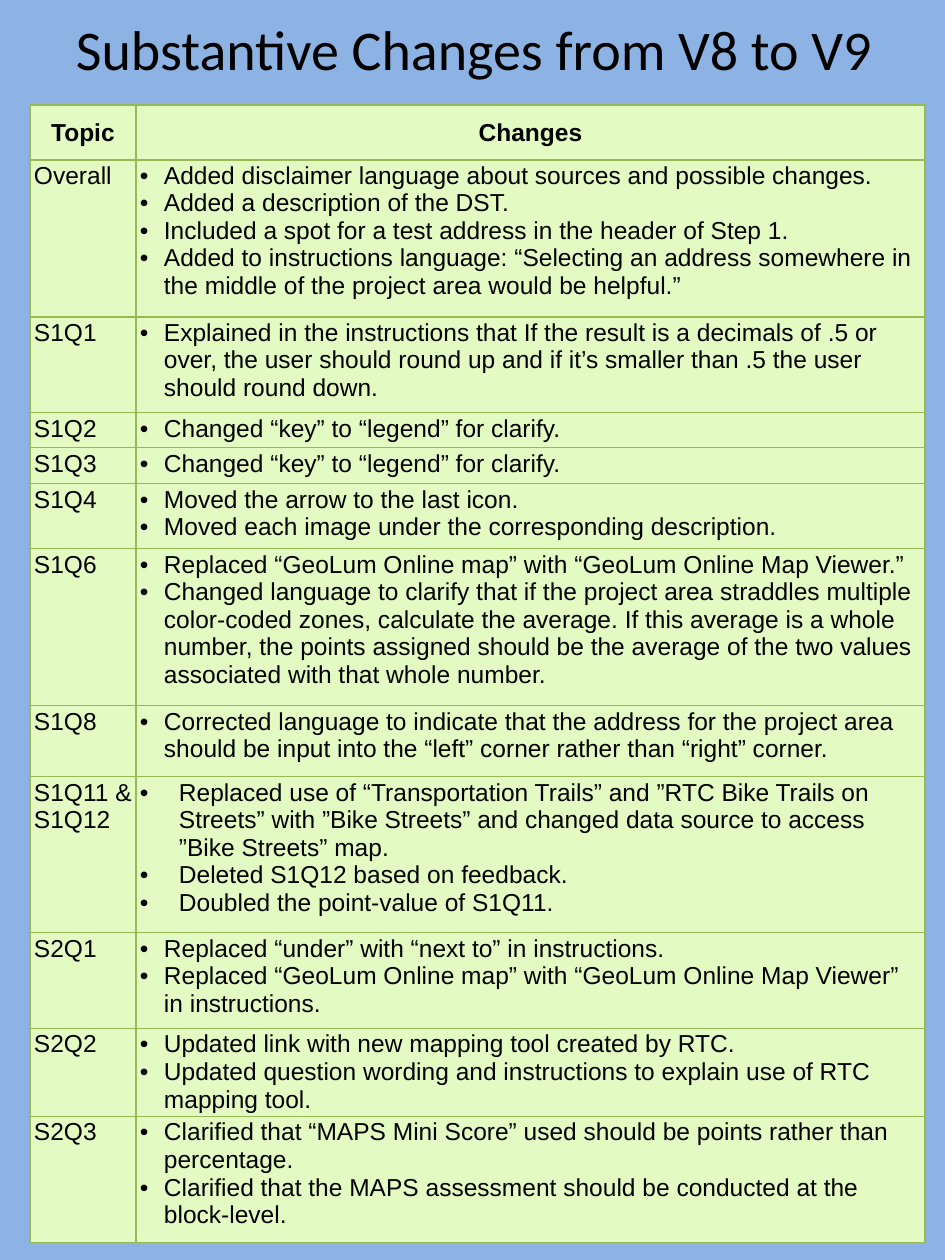
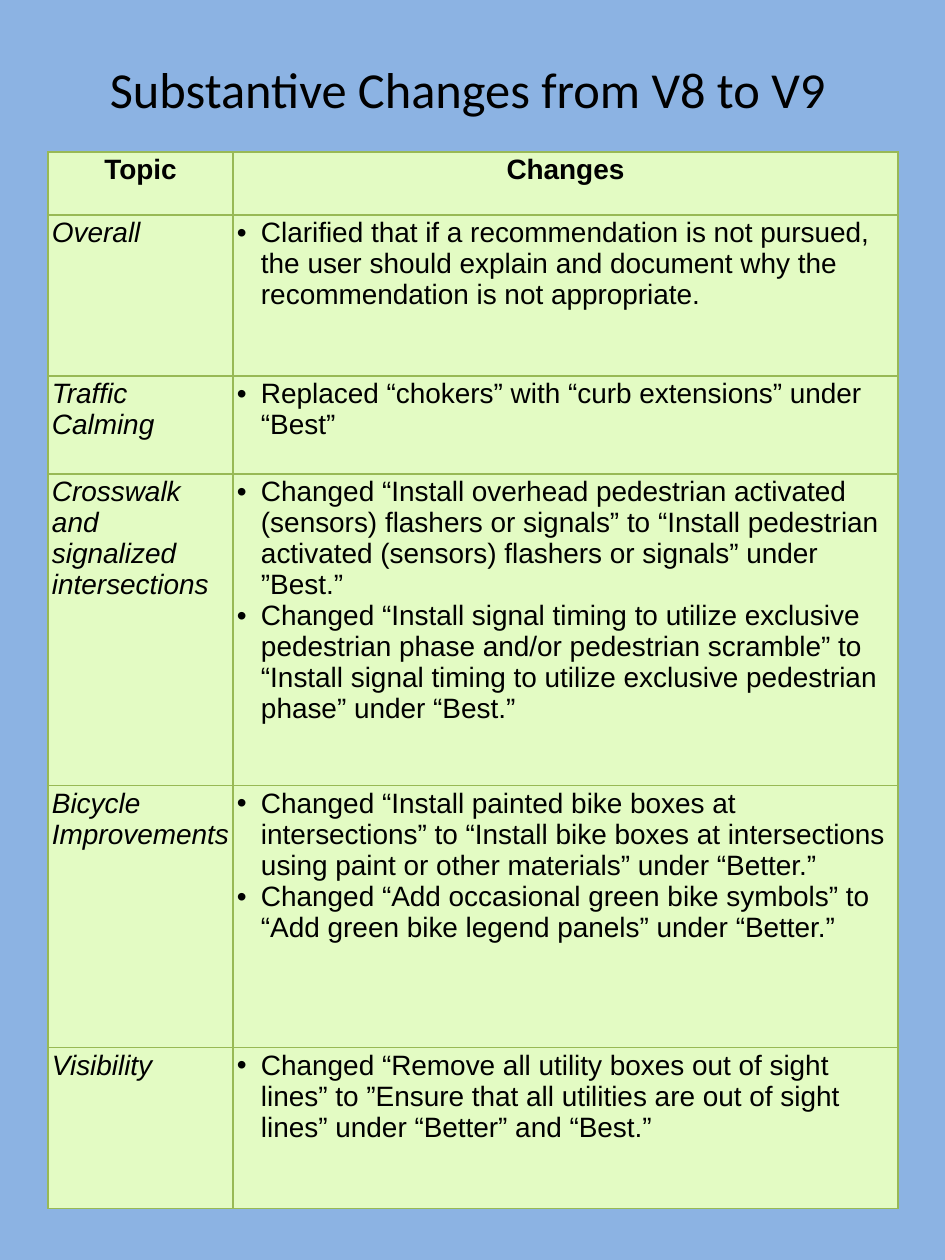
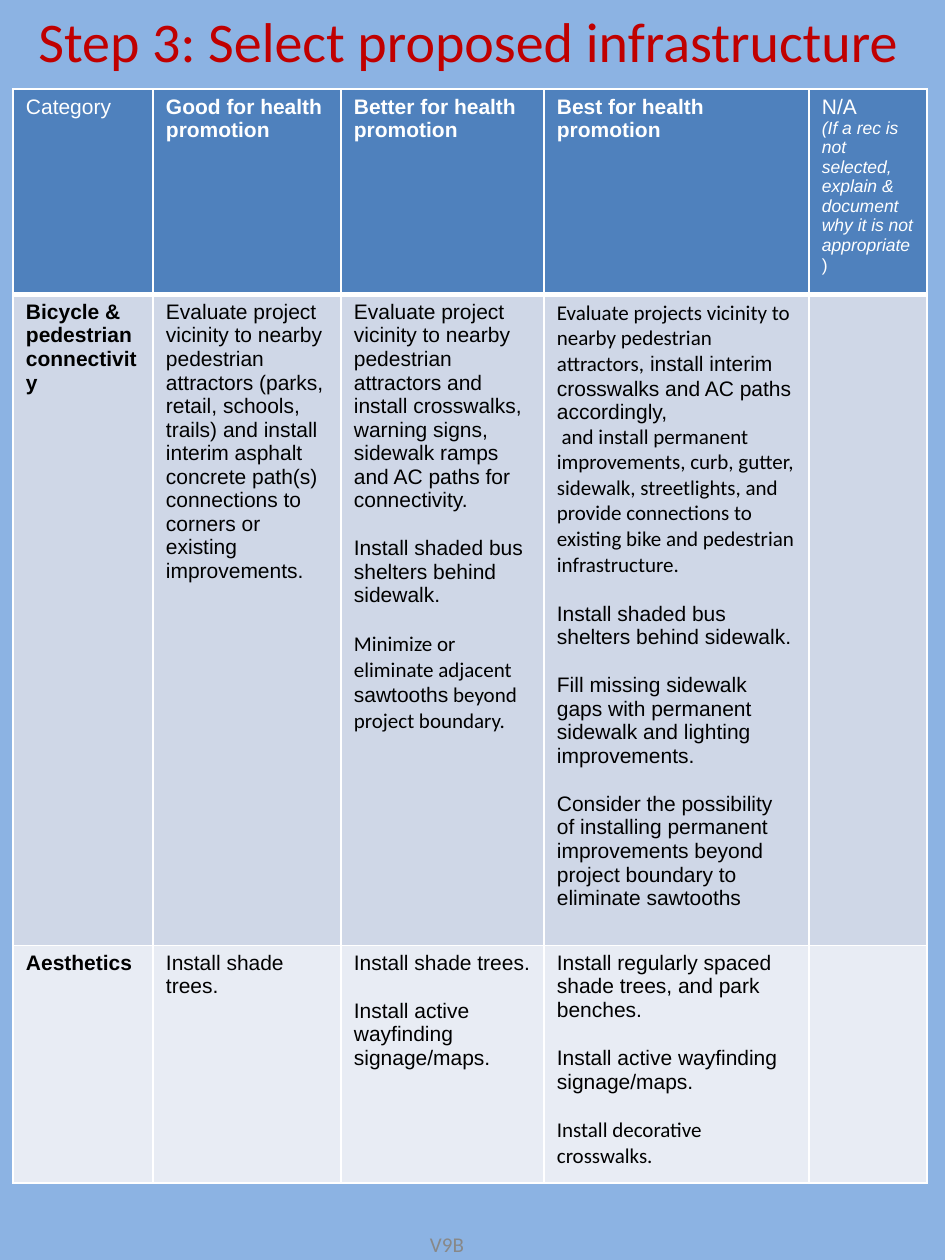
from lxml import etree
from pptx import Presentation
from pptx.dml.color import RGBColor
from pptx.enum.text import MSO_ANCHOR, PP_ALIGN
from pptx.oxml.ns import qn
from pptx.util import Emu, Pt

LEFT, CENTER = PP_ALIGN.LEFT, PP_ALIGN.CENTER
TOP, MIDDLE = MSO_ANCHOR.TOP, MSO_ANCHOR.MIDDLE
PX = 914400 / 126
COLORS = {
    "sky": "8CB3E3", "lime": "E3FBC3", "moss": "98B955", "black": "000000",
    "white": "FFFFFF", "header": "4F81BD", "band": "CFD7E7", "pale": "E8ECF4",
    "red": "C00000", "gray": "888888",
}
CALIBRI = {"name": "Calibri"}


def write(frame, paragraphs, color="black", align=LEFT, indent=0, gap=0, **font):
    frame.word_wrap = True
    for number, runs in enumerate(paragraphs):
        paragraph = frame.add_paragraph() if number else frame.paragraphs[0]
        paragraph.alignment = align
        if number and gap:
            paragraph.space_before = Pt(gap)
        if indent:
            properties = paragraph._p.get_or_add_pPr()
            properties.set("marL", str(round(indent * PX)))
            properties.set("indent", str(round(-indent * PX)))
            etree.SubElement(properties, qn("a:buFont")).set("typeface", "Arial")
            etree.SubElement(properties, qn("a:buChar")).set("char", "•")
        for text, changes in [(runs, {})] if isinstance(runs, str) else runs:
            run = paragraph.add_run()
            run.text = text
            run.font.color.rgb = RGBColor.from_string(COLORS[color])
            for key, value in {**font, **changes}.items():
                setattr(run.font, key, value)


def add_grid(slide, left, top, widths, heights, fills, line, weights, margins):
    box = [Emu(round(n * PX)) for n in (left, top, sum(widths), sum(heights))]
    grid = slide.shapes.add_table(len(heights), len(widths), *box).table
    grid.first_row = grid.horz_banding = False
    for column, width in zip(grid.columns, widths):
        column.width = Emu(round(width * PX))
    for number, (row, height) in enumerate(zip(grid.rows, heights)):
        row.height = Emu(round(height * PX))
        for cell in row.cells:
            properties = cell._tc.get_or_add_tcPr()
            for side in ("L", "R", "T", "B"):
                heavy = (number, side) in ((0, "B"), (1, "T"))
                edge = etree.SubElement(properties, qn("a:ln" + side))
                edge.set("w", str(Pt(weights[heavy])))
                ink = etree.SubElement(edge, qn("a:solidFill"))
                etree.SubElement(ink, qn("a:srgbClr")).set("val", COLORS[line])
            cell.fill.solid()
            cell.fill.fore_color.rgb = RGBColor.from_string(COLORS[fills[number]])
            cell.margin_left = cell.margin_right = Emu(round(margins[0] * PX))
            cell.margin_top = cell.margin_bottom = Emu(round(margins[1] * PX))
    return grid


step_one_changes = [
    ("Overall", [
        "Added disclaimer language about sources and possible changes.",
        "Added a description of the DST.",
        "Included a spot for a test address in the header of Step 1.",
        "Added to instructions language: “Selecting an address somewhere in the middle of the project area would be helpful.”"]),
    ("S1Q1", [
        "Explained in the instructions that If the result is a decimals of .5 or over, the user should round up and if it’s smaller than .5 the user should round down."]),
    ("S1Q2", ["Changed “key” to “legend” for clarify."]),
    ("S1Q3", ["Changed “key” to “legend” for clarify."]),
    ("S1Q4", [
        "Moved the arrow to the last icon.",
        "Moved each image under the corresponding description."]),
    ("S1Q6", [
        "Replaced “GeoLum Online map” with “GeoLum Online Map Viewer.”",
        "Changed language to clarify that if the project area straddles multiple color-coded zones, calculate the average. If this average is a whole number, the points assigned should be the average of the two values associated with that whole number."]),
    ("S1Q8", [
        "Corrected language to indicate that the address for the project area should be input into the “left” corner rather than “right” corner."]),
    ("S1Q11 & S1Q12", [
        "Replaced use of “Transportation Trails” and ”RTC Bike Trails on Streets” with ”Bike Streets” and changed data source to access ”Bike Streets” map.",
        "Deleted S1Q12 based on feedback.",
        "Doubled the point-value of S1Q11."]),
    ("S2Q1", [
        "Replaced “under” with “next to” in instructions.",
        "Replaced “GeoLum Online map” with “GeoLum Online Map Viewer” in instructions."]),
    ("S2Q2", [
        "Updated link with new mapping tool created by RTC.",
        "Updated question wording and instructions to explain use of RTC mapping tool."]),
    ("S2Q3", [
        "Clarified that “MAPS Mini Score” used should be points rather than percentage.",
        "Clarified that the MAPS assessment should be conducted at the block-level."]),
]
recommendation_changes = [
    ("Overall", [
        "Clarified that if a recommendation is not pursued, the user should explain and document why the recommendation is not appropriate."]),
    ("Traffic Calming", ["Replaced “chokers” with “curb extensions” under “Best”"]),
    ("Crosswalk and signalized intersections", [
        "Changed “Install overhead pedestrian activated (sensors) flashers or signals” to “Install pedestrian activated (sensors) flashers or signals” under ”Best.”",
        "Changed “Install signal timing to utilize exclusive pedestrian phase and/or pedestrian scramble” to “Install signal timing to utilize exclusive pedestrian phase” under “Best.”"]),
    ("Bicycle Improvements", [
        "Changed “Install painted bike boxes at intersections” to “Install bike boxes at intersections using paint or other materials” under “Better.”",
        "Changed “Add occasional green bike symbols” to “Add green bike legend panels” under “Better.”"]),
    ("Visibility", [
        "Changed “Remove all utility boxes out of sight lines” to ”Ensure that all utilities are out of sight lines” under “Better” and “Best.”"]),
]
change_logs = [
    (step_one_changes, 30, 105, [106, 789],
     [55, 157, 96, 35, 36, 65, 157, 71, 156, 96, 88, 126], 14, False, MIDDLE),
    (recommendation_changes, 48, 152, [185, 665],
     [63, 161, 98, 312, 262, 161], 16, True, TOP),
]

prs = Presentation()
prs.slide_width, prs.slide_height = Emu(round(945 * PX)), Emu(round(1260 * PX))
slides = []
for _ in range(3):
    slide = prs.slides.add_slide(prs.slide_layouts[6])
    slide.background.fill.solid()
    slide.background.fill.fore_color.rgb = RGBColor.from_string(COLORS["sky"])
    slides.append(slide)

for slide, (log, left, top, widths, heights, size, italic, anchor) in zip(slides, change_logs):
    changes = add_grid(slide, left, top, widths, heights, ["lime"] * len(heights),
                       "moss", (0.75, 0.75), (4, 2))
    font = {"name": "Arial", "size": Pt(size)}
    for column, heading in enumerate(("Topic", "Changes")):
        cell = changes.cell(0, column)
        cell.vertical_anchor = anchor
        write(cell.text_frame, [heading], align=CENTER, bold=True, **font)
    for row, (topic, items) in enumerate(log, 1):
        write(changes.cell(row, 0).text_frame, [topic], italic=italic, **font)
        indent = 39 if topic == "S1Q11 & S1Q12" else 24
        write(changes.cell(row, 1).text_frame, items, indent=indent, **font)

small = {"size": Pt(10)}
headings = [
    (["Category"], False),
    (["Good for health promotion"], True),
    (["Better for health promotion"], True),
    (["Best for health promotion"], True),
    (["N/A", [("(If a rec is not selected, explain & document why it is not appropriate",
               {**small, "italic": True}), (")", small)]], False),
]
categories = [
    [["Bicycle & pedestrian connectivity"],
     ["Evaluate project vicinity to nearby pedestrian attractors (parks, retail, schools, trails) and install interim asphalt concrete path(s) connections to corners or existing improvements."],
     ["Evaluate project vicinity to nearby pedestrian attractors and install crosswalks, warning signs, sidewalk ramps and AC paths for connectivity.",
      "Install shaded bus shelters behind sidewalk.",
      [("Minimize or eliminate adjacent ", CALIBRI), ("sawtooths", {}),
       (" beyond project boundary.", CALIBRI)]],
     [[("Evaluate projects vicinity to nearby pedestrian attractors,", CALIBRI),
       (" install interim crosswalks and AC paths accordingly,", {})],
      [(" and install permanent improvements, curb, gutter, sidewalk, streetlights, and provide connections to existing bike and pedestrian infrastructure.", CALIBRI)],
      "Install shaded bus shelters behind sidewalk.",
      "Fill missing sidewalk gaps with permanent sidewalk and lighting improvements.",
      "Consider the possibility of installing permanent improvements beyond project boundary to eliminate sawtooths"]],
    [["Aesthetics"],
     ["Install shade trees."],
     ["Install shade trees.", "Install active wayfinding signage/maps."],
     ["Install regularly spaced shade trees, and park benches.",
      "Install active wayfinding signage/maps.",
      [("Install decorative crosswalks.", CALIBRI)]]],
]
infrastructure = add_grid(slides[2], 13, 89, [140, 188, 203, 265, 118], [192, 651, 229],
                          ["header", "band", "pale"], "white", (1, 3), (13, 6))
font = {"name": "Arial", "size": Pt(12)}
for column, (heading, bold) in enumerate(headings):
    write(infrastructure.cell(0, column).text_frame, heading, "white", bold=bold, **font)
for row, category in enumerate(categories, 1):
    for column, advice in enumerate(category):
        write(infrastructure.cell(row, column).text_frame, advice,
              gap=14, bold=column == 0, **font)
infrastructure.cell(1, 3).text_frame.paragraphs[1].space_before = Pt(0)

version_title = "Substantive Changes from V8 to V9 "
captions = [
    (0, version_title, (55, -3, 851, 102), 32, "black", CENTER, MIDDLE),
    (1, version_title, (48, 50, 851, 76), 28.8, "black", CENTER, MIDDLE),
    (2, "Step 3: Select proposed infrastructure", (26, 0, 905, 81), 32, "red", LEFT, TOP),
    (2, "V9B", (297, 1211, 300, 67), 12, "gray", CENTER, MIDDLE),
]
for number, text, box, size, color, align, anchor in captions:
    caption = slides[number].shapes.add_textbox(*[Emu(round(n * PX)) for n in box])
    caption.text_frame.vertical_anchor = anchor
    write(caption.text_frame, [text], color, align, size=Pt(size), **CALIBRI)

prs.save("out.pptx")
